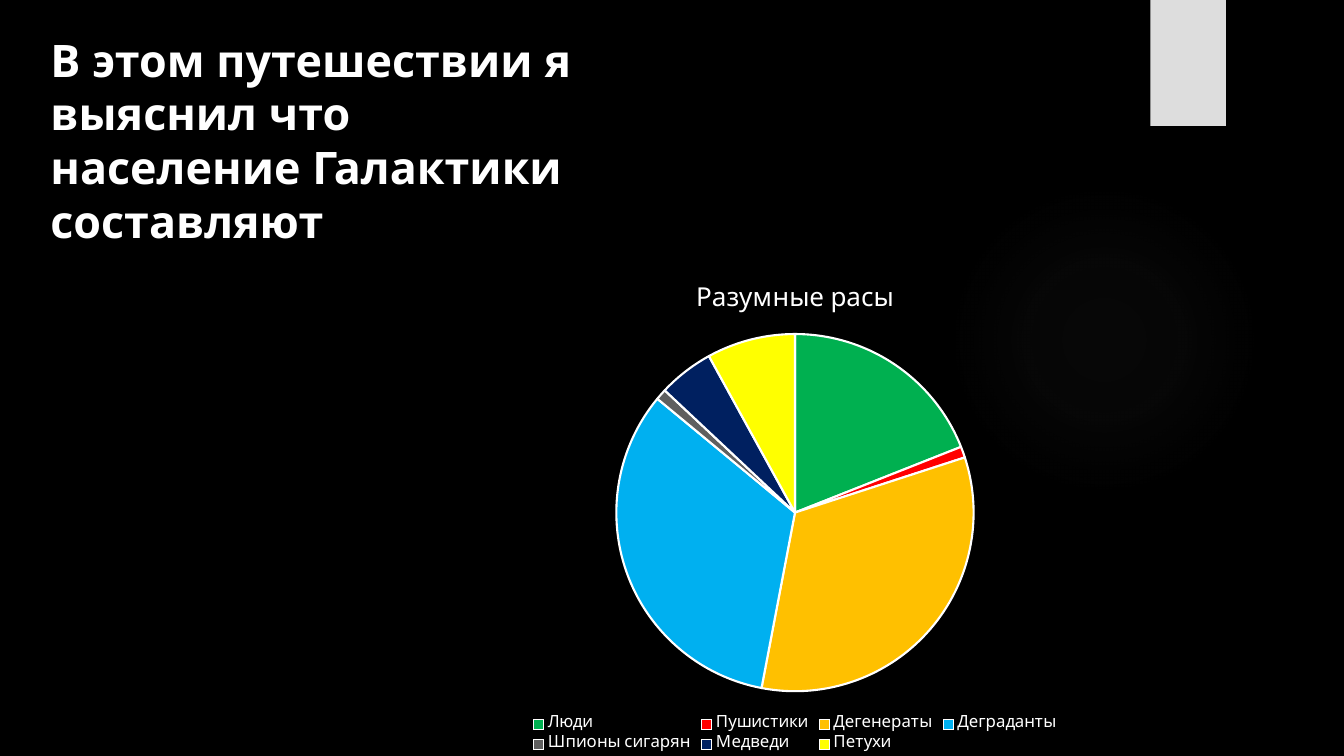
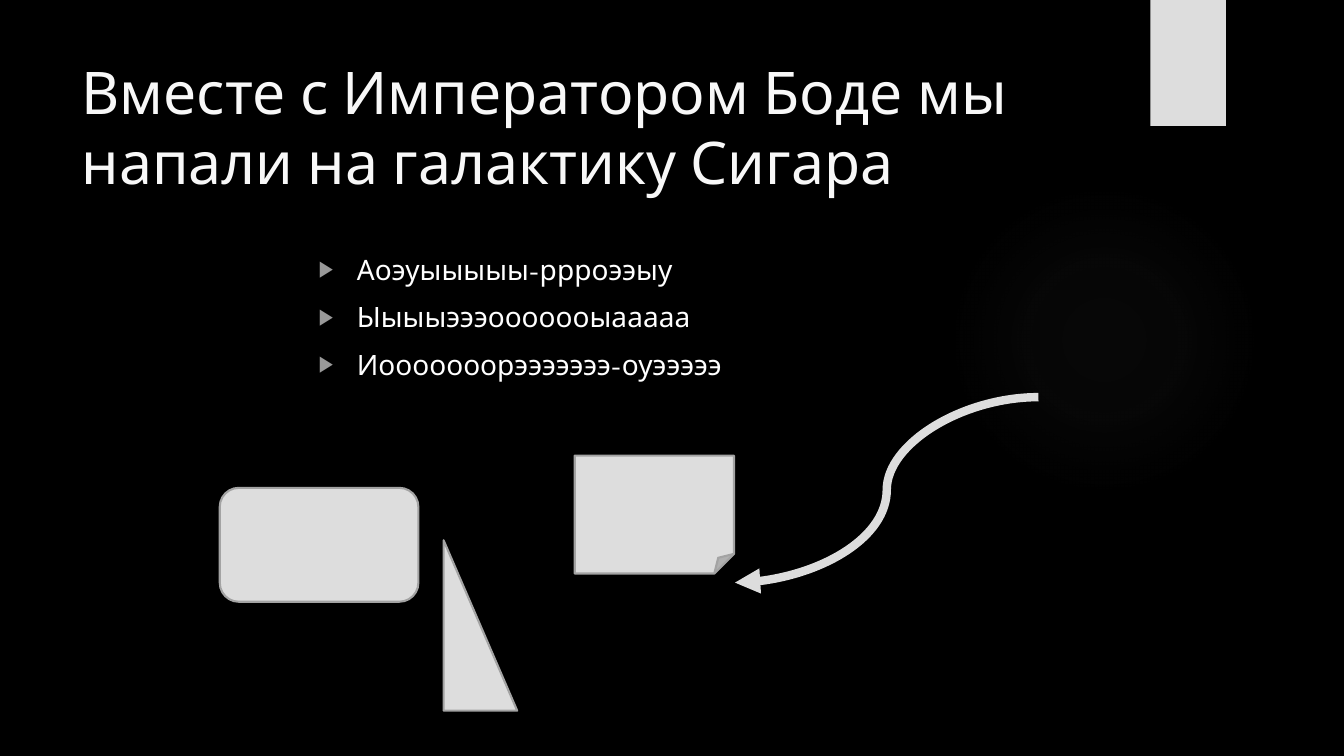
"""Build two dark slides on a galactic journey: a race pie and an attack scheme."""
from pptx import Presentation
from pptx.chart.data import CategoryChartData
from pptx.dml.color import RGBColor
from pptx.enum import chart as ch, shapes, text
from pptx.oxml import parse_xml
from pptx.oxml.ns import nsdecls, qn
from pptx.util import Inches, Pt
from lxml import etree


class Theme:
    font = "League Spartan"
    back, white, soft = "000000", "FFFFFF", "F8F8F8"
    pale, edge, mark, glow = "DDDDDD", "A3A3A3", "999999", "666666"
    head, big, body, chart, key = 32, 42, 20, 18.6, 12


def style(font, size, color, bold=False):
    font.name, font.size, font.bold = Theme.font, Pt(size), bold
    font.color.rgb = RGBColor.from_string(color)


def place(shape, size, color, lines, box, bold=False):
    shape.left, shape.top, shape.width, shape.height = map(Inches, box)
    frame = shape.text_frame
    frame.word_wrap = True
    frame.auto_size = text.MSO_AUTO_SIZE.NONE
    frame.vertical_anchor = text.MSO_ANCHOR.TOP
    for i, line in enumerate(lines):
        para = frame.add_paragraph() if i else frame.paragraphs[0]
        para.alignment = text.PP_ALIGN.LEFT
        para.space_before = Pt(10 if i else 0)
        run = para.add_run()
        run.text = line
        style(run.font, size, color, bold)
    return frame.paragraphs


deck = Presentation()
deck.slide_width, deck.slide_height = Inches(13.33), Inches(7.5)
master = deck.slide_master
master.background.fill.solid()
master.background.fill.fore_color.rgb = RGBColor.from_string(Theme.back)
pie, raid = [deck.slides.add_slide(deck.slide_layouts[n]) for n in (5, 1)]

kind = shapes.MSO_SHAPE
glow = pie.shapes.add_shape(kind.OVAL, *map(Inches, (9.41, 1.83, 3.08, 3.08)))
stops = "".join(
    f'<a:gs pos="{pos}000"><a:srgbClr val="{Theme.glow}">'
    f'<a:alpha val="{alpha}000"/></a:srgbClr></a:gs>'
    for pos, alpha in ((0, 7), (36, 6), (69, 0)))
glow.fill.background()
props = glow.element.spPr
props.replace(props.find(qn("a:noFill")), parse_xml(
    f'<a:gradFill {nsdecls("a")}><a:gsLst>{stops}</a:gsLst><a:path path="circle">'
    '<a:fillToRect l="50000" t="50000" r="50000" b="50000"/></a:path></a:gradFill>'))
tab = pie.shapes.add_shape(kind.RECTANGLE, *map(Inches, (11.41, 0, 0.75, 1.25)))
tab.fill.solid()
tab.fill.fore_color.rgb = RGBColor.from_string(Theme.pale)
for i, shape in enumerate((glow, tab)):
    shape.line.fill.background()
    shape.shadow.inherit = False
    shape.element.nvSpPr.cNvPr.set("id", str(20 + i))
    master.shapes.element.insert(2 + i, shape.element)

place(pie.shapes.title, Theme.head, Theme.white,
      ["В этом путешествии я выяснил что население Галактики составляют"],
      (0.4, 0.27, 5.66, 1.99), True)
races = [
    ("Люди", 19, "00B050"),
    ("Пушистики", 1, "FF0000"),
    ("Дегенераты", 33, "FFC000"),
    ("Деграданты", 33, "00B0F0"),
    ("Шпионы сигарян", 1, "5F5F5F"),
    ("Медведи", 5, "002060"),
    ("Петухи", 8, "FFFF00"),
]
data = CategoryChartData()
data.categories = [race[0] for race in races]
data.add_series("Разумные расы", [race[1] for race in races])
chart = pie.shapes.add_chart(
    ch.XL_CHART_TYPE.PIE, *map(Inches, (4.18, 2.62, 7.41, 4.88)), data).chart
style(chart.font, Theme.key, Theme.white)
chart.has_title = True
run = chart.chart_title.text_frame.paragraphs[0].add_run()
run.text = "Разумные расы"
style(run.font, Theme.chart, Theme.white)
chart.chart_title.include_in_layout = False
chart.has_legend = True
chart.legend.position = ch.XL_LEGEND_POSITION.BOTTOM
chart.legend.include_in_layout = False
style(chart.legend.font, Theme.key, Theme.white)
plot = chart.plots[0]
plot.vary_by_categories = True
for i, race in enumerate(races):
    slice = plot.series[0].points[i].format
    slice.fill.solid()
    slice.fill.fore_color.rgb = RGBColor.from_string(race[2])
    slice.line.color.rgb = RGBColor.from_string(Theme.white)
    slice.line.width = Pt(1.5)

place(raid.shapes.title, Theme.big, Theme.soft,
      ["Вместе с Императором Боде мы напали на галактику Сигара"],
      (0.71, 0.5, 10.29, 1.53))
cries = place(raid.placeholders[1], Theme.body, Theme.white,
              ["Аоэуыыыыы-ррроээыу", "Ыыыыэээооооооыааааа",
               "Иооооооорэээээээ-оуэээээ"], (3.06, 2.45, 9.78, 1.74))
for para in cries:
    props = para._p.get_or_add_pPr()
    props.set("marL", str(Inches(0.38)))
    props.set("indent", str(-Inches(0.38)))
    color = etree.SubElement(props, qn("a:buClr"))
    etree.SubElement(color, qn("a:srgbClr"), val=Theme.mark)
    etree.SubElement(props, qn("a:buSzPct"), val="80000")
    etree.SubElement(props, qn("a:buChar"), char="▶")

arrow = raid.shapes.add_connector(
    shapes.MSO_CONNECTOR.CURVE, *map(Inches, (10.3, 3.94, 7.29, 5.78)))
arrow.line.color.rgb = RGBColor.from_string(Theme.pale)
arrow.line.width = Pt(6)
etree.SubElement(arrow.line._get_or_add_ln(), qn("a:tailEnd"), type="triangle")
etree.SubElement(arrow._element.spPr, qn("a:effectLst"))
for form, box in (
        (kind.ROUNDED_RECTANGLE, (2.18, 4.84, 1.97, 1.13)),
        (kind.RIGHT_TRIANGLE, (4.4, 5.36, 0.73, 1.69)),
        (kind.FOLDED_CORNER, (5.7, 4.52, 1.58, 1.17))):
    shape = raid.shapes.add_shape(form, *map(Inches, box))
    shape.shadow.inherit = False
    shape.fill.solid()
    shape.fill.fore_color.rgb = RGBColor.from_string(Theme.pale)
    shape.line.color.rgb = RGBColor.from_string(Theme.edge)
    shape.line.width = Pt(1.5)

deck.save("out.pptx")
